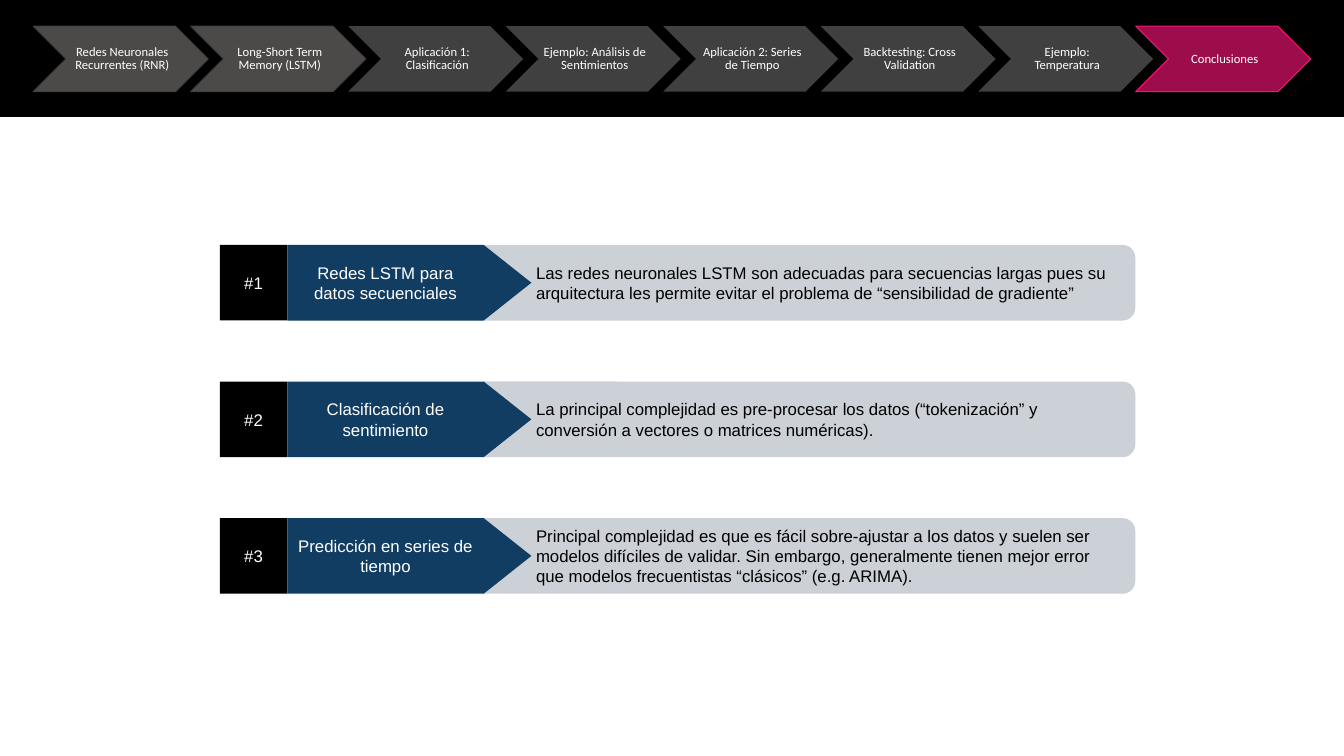
from dataclasses import dataclass

import lxml.etree
import pptx
import pptx.dml.color
import pptx.enum.shapes
import pptx.enum.text
import pptx.oxml.ns
import pptx.util

SHAPE = pptx.enum.shapes.MSO_SHAPE
ALIGN = pptx.enum.text.PP_ALIGN
Inches = pptx.util.Inches


@dataclass(frozen=True)
class Theme:
    black: str = "000000"
    white: str = "FFFFFF"
    visited: str = "767171"
    pending: str = "404040"
    current: str = "F31574"
    navy: str = "113D63"
    pale: str = "CCD1D7"
    nav_font: str = "Calibri"
    nav_size: float = 9
    body_font: str = "Arial"
    body_size: float = 12


T = Theme()
SLIDE_W, SLIDE_H = 13.33, 7.5

# Step label, fill, opacity in percent, outline
STEPS = [
    ("Redes Neuronales Recurrentes (RNR)", T.visited, 65, T.pending),
    ("Long-Short Term Memory (LSTM)", T.visited, 65, T.pending),
    ("Aplicación 1: Clasificación", T.pending, 100, None),
    ("Ejemplo: Análisis de Sentimientos", T.pending, 100, None),
    ("Aplicación 2: Series de Tiempo", T.pending, 100, None),
    ("Backtesting: Cross Validation", T.pending, 100, None),
    ("Ejemplo: Temperatura", T.pending, 100, None),
    ("Conclusiones", T.current, 65, T.current),
]

CONCLUSIONS = [
    ("Redes LSTM para datos secuenciales",
     "Las redes neuronales LSTM son adecuadas para secuencias largas pues su "
     "arquitectura les permite evitar el problema de “sensibilidad de gradiente”"),
    ("Clasificación de sentimiento",
     "La principal complejidad es pre-procesar los datos (“tokenización” y "
     "conversión a vectores o matrices numéricas)."),
    ("Predicción en series de tiempo",
     "Principal complejidad es que es fácil sobre-ajustar a los datos y suelen ser "
     "modelos difíciles de validar. Sin embargo, generalmente tienen mejor error "
     "que modelos frecuentistas “clásicos” (e.g. ARIMA)."),
]


def rgb(color):
    return pptx.dml.color.RGBColor.from_string(color)


def add_box(shapes, kind, box, fill, opacity=100, line=None, line_width=0.75):
    """Add a flat preset shape in box = (left, top, width, height)."""
    sp = shapes.add_shape(kind, *(Inches(v) for v in box))
    sp.shadow.inherit = False
    sp.fill.solid()
    sp.fill.fore_color.rgb = rgb(fill)
    if opacity < 100:
        clr = sp.fill._xPr.find(".//" + pptx.oxml.ns.qn("a:srgbClr"))
        alpha = lxml.etree.SubElement(clr, pptx.oxml.ns.qn("a:alpha"))
        alpha.set("val", str(opacity * 1000))
    if line:
        sp.line.color.rgb = rgb(line)
        sp.line.width = pptx.util.Pt(line_width)
    else:
        sp.line.fill.background()
    return sp


def write(sp, text, color=T.white, font=T.body_font, size=T.body_size,
          align=ALIGN.CENTER, insets=(0.1, 0.05, 0.1, 0.05), spacing=None):
    tf = sp.text_frame
    tf.word_wrap = True
    tf.vertical_anchor = pptx.enum.text.MSO_ANCHOR.MIDDLE
    tf.margin_left, tf.margin_top, tf.margin_right, tf.margin_bottom = (
        Inches(v) for v in insets)
    p = tf.paragraphs[0]
    p.alignment = align
    if spacing:
        p.line_spacing = spacing
    r = p.add_run()
    r.text = text
    r.font.name = font
    r.font.size = pptx.util.Pt(size)
    r.font.color.rgb = rgb(color)


def add_progress(slide, box):
    """Black header band with a chevron for each section."""
    left, top, width, height = box
    add_box(slide.shapes, SHAPE.RECTANGLE, box, T.black, line=T.black, line_width=1)

    # Neighbouring chevrons overlap by a tenth of their width
    margin = 0.33
    step_w = (width - 2 * margin) / (0.9 * (len(STEPS) - 1) + 1)
    group = slide.shapes.add_group_shape()
    for i, (label, fill, opacity, line) in enumerate(STEPS):
        step = (left + margin + 0.9 * step_w * i, top + 0.26, step_w, 0.65)
        sp = add_box(group.shapes, SHAPE.CHEVRON, step, fill, opacity, line)
        write(sp, label, font=T.nav_font, size=T.nav_size,
              insets=(0.04, 0.01, 0.01, 0.01), spacing=0.9)


def add_conclusion(slide, box, number, heading, detail):
    """One row: number, arrow heading and detail panel."""
    left, top, width, height = box
    number_w, arrow_w, panel_x = 0.67, 2.42, 2.5

    sp = add_box(slide.shapes, SHAPE.RECTANGLE, (left, top, number_w, height), T.black)
    write(sp, f"#{number}")

    # The panel starts beneath the arrow
    panel = (left + panel_x, top, width - panel_x, height)
    sp = add_box(slide.shapes, SHAPE.ROUNDED_RECTANGLE, panel, T.pale)
    write(sp, detail, color=T.black, align=ALIGN.LEFT, insets=(0.6, 0.05, 0.1, 0.05))

    arrow = (left + number_w, top, arrow_w, height)
    sp = add_box(slide.shapes, SHAPE.RIGHT_ARROW, arrow, T.navy)
    sp.adjustments[0], sp.adjustments[1] = 1, 0.63
    write(sp, heading)


def add_conclusions(slide, box):
    """Rows of equal height, spread evenly over the box."""
    left, top, width, height = box
    row_h = 0.75
    pitch = (height - row_h) / (len(CONCLUSIONS) - 1)
    for i, (heading, detail) in enumerate(CONCLUSIONS):
        row = (left, top + i * pitch, width, row_h)
        add_conclusion(slide, row, i + 1, heading, detail)


def main():
    prs = pptx.Presentation()
    prs.slide_width, prs.slide_height = Inches(SLIDE_W), Inches(SLIDE_H)
    slide = prs.slides.add_slide(prs.slide_layouts[6])
    add_progress(slide, (0, 0, SLIDE_W, 1.15))
    add_conclusions(slide, (2.18, 2.43, 9.08, 3.46))
    prs.save("out.pptx")


if __name__ == "__main__":
    main()
